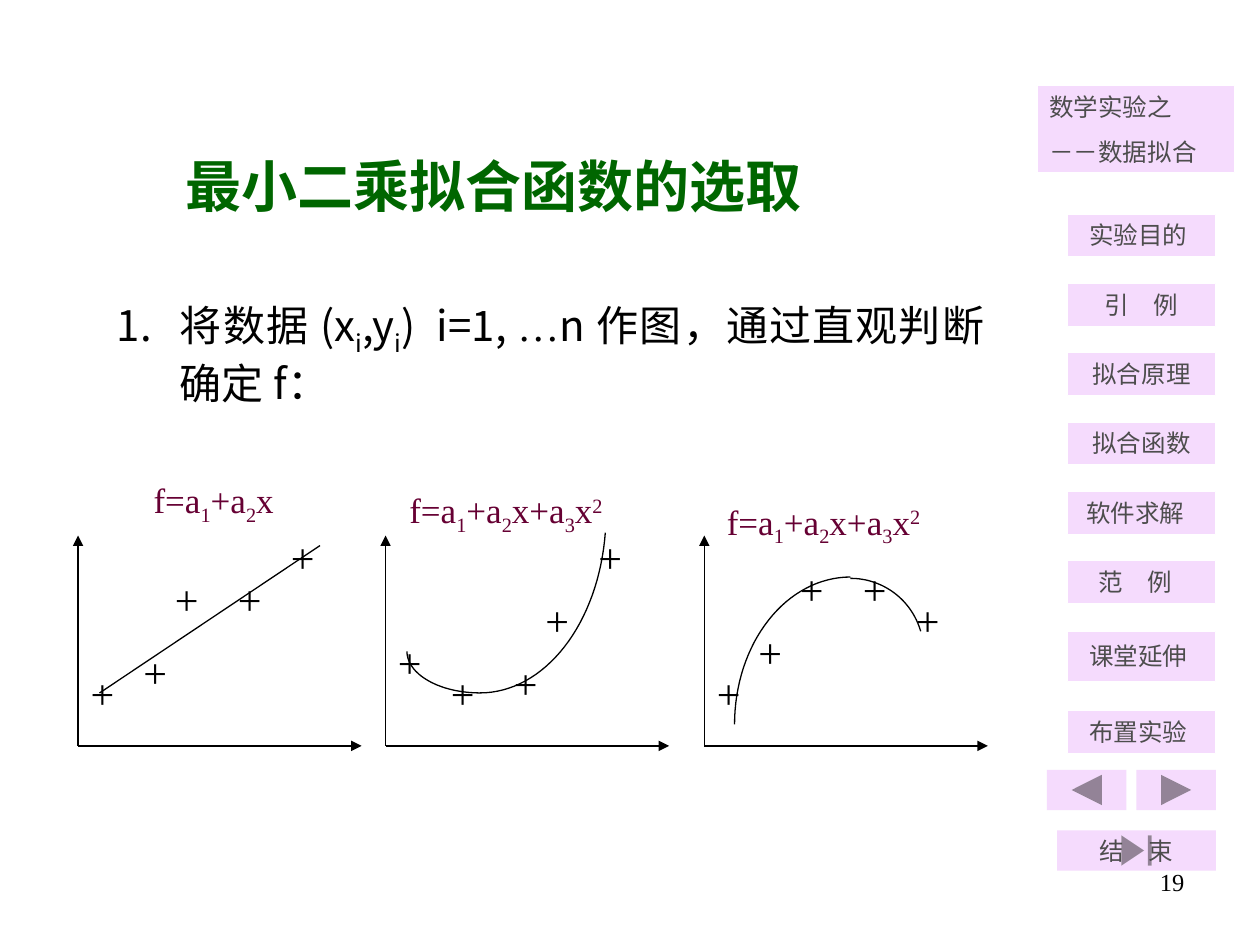
"""Build the slide on choosing a least-squares fitting function."""
import math

from lxml import etree
from pptx import Presentation
from pptx.dml.color import RGBColor
from pptx.enum import shapes, text
from pptx.oxml import ns
from pptx.util import Inches, Pt

COLORS = {"title": "006600", "ink": "000000", "formula": "660033",
          "nav": "F5DBFD", "nav_text": "4D4D4D", "edge": "FFFFFF"}
CJK, SERIF, SANS = "Noto Sans CJK SC", "Times New Roman", "Arial"
SUB, SUP = -25000, 30000
CENTER = text.PP_ALIGN.CENTER
LINEAR = [("f=a", 0), ("1", SUB), ("+a", 0), ("2", SUB), ("x", 0)]
QUADRATIC = LINEAR[:-1] + [("x+a", 0), ("3", SUB), ("x", 0), ("2", SUP)]
NAV = [("实验目的", CJK, 0.05), ("引　例", CJK, 0), ("拟合原理", SANS, 0),
       ("拟合函数", SANS, 0), ("软件求解", CJK, 0.1), ("范　例", CJK, 0.1)]
PLOTS = [
    (0.62, [(0.62, 5.25), (1.04, 5.08), (1.79, 4.5), (2.21, 4.17), (1.29, 4.5)]),
    (3.06, [(3.06, 5), (3.48, 5.25), (4.23, 4.67), (4.65, 4.17), (3.98, 5.17)]),
    (5.59, [(5.59, 5.25), (5.92, 4.92), (6.75, 4.42), (7.17, 4.67), (6.25, 4.42)]),
]
ARCS = [((3.81, 5.17), (0.58, 0.33), (90, 180)),
        ((3.81, 4.08), (1, 1.42), (6, 90)),
        ((6.75, 5.75), (0.92, 1.17), (180, 270)),
        ((6.75, 5.17), (0.58, 0.58), (270, 344))]
FORMULAS = [((1.12, 3.75, 1.42, 0.48), LINEAR),
            ((3.15, 3.83, 2.33, 0.48), QUADRATIC),
            ((5.67, 3.92, 2.17, 0.48), QUADRATIC)]


def rgb(name):
    """Return a palette colour."""
    return RGBColor.from_string(COLORS[name])


def inches(*values):
    """Convert several lengths."""
    return [Inches(v) for v in values]


def add_run(p, words, font, size, color, base=0, bold=False):
    """Append a formatted run to a paragraph."""
    r = p.add_run()
    r.text = words
    for name, value in {"name": font, "size": Pt(size), "bold": bold}.items():
        setattr(r.font, name, value)
    r.font.color.rgb = rgb(color)
    rpr = r._r.get_or_add_rPr()
    if base:
        rpr.set("baseline", str(base))
    ea = etree.SubElement(rpr, ns.qn("a:ea"))
    ea.set("typeface", CJK if font == SANS else font)


def frame(shape, right=0.1, top=0.05, anchor=text.MSO_ANCHOR.TOP, wrap=True):
    """Set the text frame's insets and anchor."""
    tf = shape.text_frame
    values = {"margin_left": Inches(0.1), "margin_right": Inches(right),
              "margin_top": Inches(top), "margin_bottom": Inches(0.05),
              "vertical_anchor": anchor, "word_wrap": wrap,
              "auto_size": text.MSO_AUTO_SIZE.NONE}
    for name, value in values.items():
        setattr(tf, name, value)
    return tf


def add_text(s, box, runs, align=text.PP_ALIGN.LEFT):
    """Add a one-paragraph text box."""
    p = frame(s.shapes.add_textbox(*inches(*box))).paragraphs[0]
    p.alignment = align
    for run in runs:
        add_run(p, *run)
    return p


def add_title(s):
    """Fill and place the title placeholder."""
    sp = s.shapes.title
    sp.left, sp.top, sp.width, sp.height = inches(0.83, 1.15, 6.38, 0.64)
    p = frame(sp, right=0.3).paragraphs[0]
    p.alignment = CENTER
    add_run(p, "最小二乘拟合函数的选取", CJK, 32, "title", bold=True)


def add_statement(s):
    """Add the numbered statement."""
    parts = [("将数据 (x", CJK, 0), ("i", CJK, SUB), (",y", CJK, 0),
             ("i", CJK, SUB), (")  i=1, ", CJK, 0), ("…", SERIF, 0),
             ("n 作图，通过直观判断确定 f：", CJK, 0)]
    runs = [(words, font, 24, "ink", base) for words, font, base in parts]
    p = add_text(s, (0.83, 2.33, 7.08, 0.96), runs, text.PP_ALIGN.JUSTIFY)
    ppr = p._p.get_or_add_pPr()
    ppr.set("marL", str(Inches(0.5)))
    ppr.set("indent", str(Inches(-0.5)))
    etree.SubElement(ppr, ns.qn("a:buFont")).set("typeface", CJK)
    etree.SubElement(ppr, ns.qn("a:buAutoNum")).set("type", "arabicPeriod")


def add_block(s, kind, box, edge=None):
    """Add a flat navigation shape."""
    sp = s.shapes.add_shape(kind, *inches(*box))
    sp.shadow.inherit = False
    sp.fill.solid()
    sp.fill.fore_color.rgb = rgb("nav")
    if edge:
        sp.line.color.rgb = rgb(edge)
        sp.line.width = Pt(0.75)
    else:
        sp.line.fill.background()
    return sp


def add_nav_box(s, box, lines, font=CJK, align=CENTER, trail=0, top=0.05):
    """Add a navigation box with its lines of text."""
    tf = frame(add_block(s, shapes.MSO_SHAPE.RECTANGLE, box, "edge"), 0.1 + trail, top)
    for i, line in enumerate(lines):
        p = tf.add_paragraph() if i else tf.paragraphs[0]
        p.alignment = align
        if i:
            p.space_before = Pt(8.8)
        add_run(p, line, font, 14, "nav_text")


def add_navigation(s):
    """Add the column of navigation boxes and buttons."""
    kinds = shapes.MSO_SHAPE
    add_block(s, kinds.ACTION_BUTTON_BACK_OR_PREVIOUS, (8.31, 6.11, 0.63, 0.32))
    add_block(s, kinds.ACTION_BUTTON_FORWARD_OR_NEXT, (9.02, 6.11, 0.63, 0.32))
    add_nav_box(s, (8.23, 0.68, 1.57, 0.69), ["数学实验之", "－－数据拟合"],
                align=text.PP_ALIGN.LEFT)
    for i, (label, font, trail) in enumerate(NAV):
        add_nav_box(s, (8.47, 1.7 + 0.55 * i, 1.18, 0.34), [label], font, trail=trail)
    add_nav_box(s, (8.47, 5.01, 1.18, 0.4), ["课堂延伸"], trail=0.05, top=0.08)
    add_nav_box(s, (8.47, 5.64, 1.18, 0.34), ["布置实验"], trail=0.05)
    end = add_block(s, kinds.ACTION_BUTTON_END, (8.39, 6.59, 1.26, 0.32))
    p = frame(end, anchor=text.MSO_ANCHOR.MIDDLE, wrap=False).paragraphs[0]
    p.alignment = CENTER
    add_run(p, "结　束", CJK, 14, "nav_text")


def add_line(s, start, end, arrow=False):
    """Add a thin line, with an arrowhead if asked."""
    c = s.shapes.add_connector(shapes.MSO_CONNECTOR.STRAIGHT, *inches(*start, *end))
    c.line.color.rgb = rgb("ink")
    c.line.width = Pt(0.75)
    if arrow:
        tail = etree.SubElement(c.line._get_or_add_ln(), ns.qn("a:tailEnd"))
        tail.set("type", "triangle")
    etree.SubElement(c._element.spPr, ns.qn("a:effectLst"))


def add_arc(s, center, radii, angles, steps=32):
    """Add an open elliptical arc, angles in degrees clockwise."""
    first, last = angles
    turns = [math.radians(first + (last - first) * i / steps) for i in range(steps + 1)]
    points = [inches(center[0] + radii[0] * math.cos(t),
                     center[1] + radii[1] * math.sin(t)) for t in turns]
    builder = s.shapes.build_freeform(*points[0])
    builder.add_line_segments(points[1:], close=False)
    sp = builder.convert_to_shape()
    sp.shadow.inherit = False
    sp.fill.background()
    sp.line.color.rgb = rgb("ink")
    sp.line.width = Pt(0.75)


def add_plot(s, left, marks):
    """Add a pair of axes and its data marks."""
    origin = (left, 5.92)
    add_line(s, origin, (left, 4.25), arrow=True)
    add_line(s, origin, (left + 2.25, 5.92), arrow=True)
    for x, y in marks:
        add_text(s, (x, y, 0.42, 0.5), [("+", SERIF, 24, "ink")])


def main():
    """Build and save the slide."""
    prs = Presentation()
    prs.slide_width, prs.slide_height = inches(10, 7.5)
    s = prs.slides.add_slide(prs.slide_layouts[5])
    add_text(s, (7.17, 6.83, 2.33, 0.52), [("19", SERIF, 14, "ink")], text.PP_ALIGN.RIGHT)
    add_navigation(s)
    add_title(s)
    for plot in PLOTS:
        add_plot(s, *plot)
    add_line(s, (0.79, 5.5), (2.54, 4.33))
    add_statement(s)
    for arc in ARCS:
        add_arc(s, *arc)
    for box, terms in FORMULAS:
        add_text(s, box, [(words, SERIF, 20, "formula", base) for words, base in terms])
    prs.save("out.pptx")


if __name__ == "__main__":
    main()
